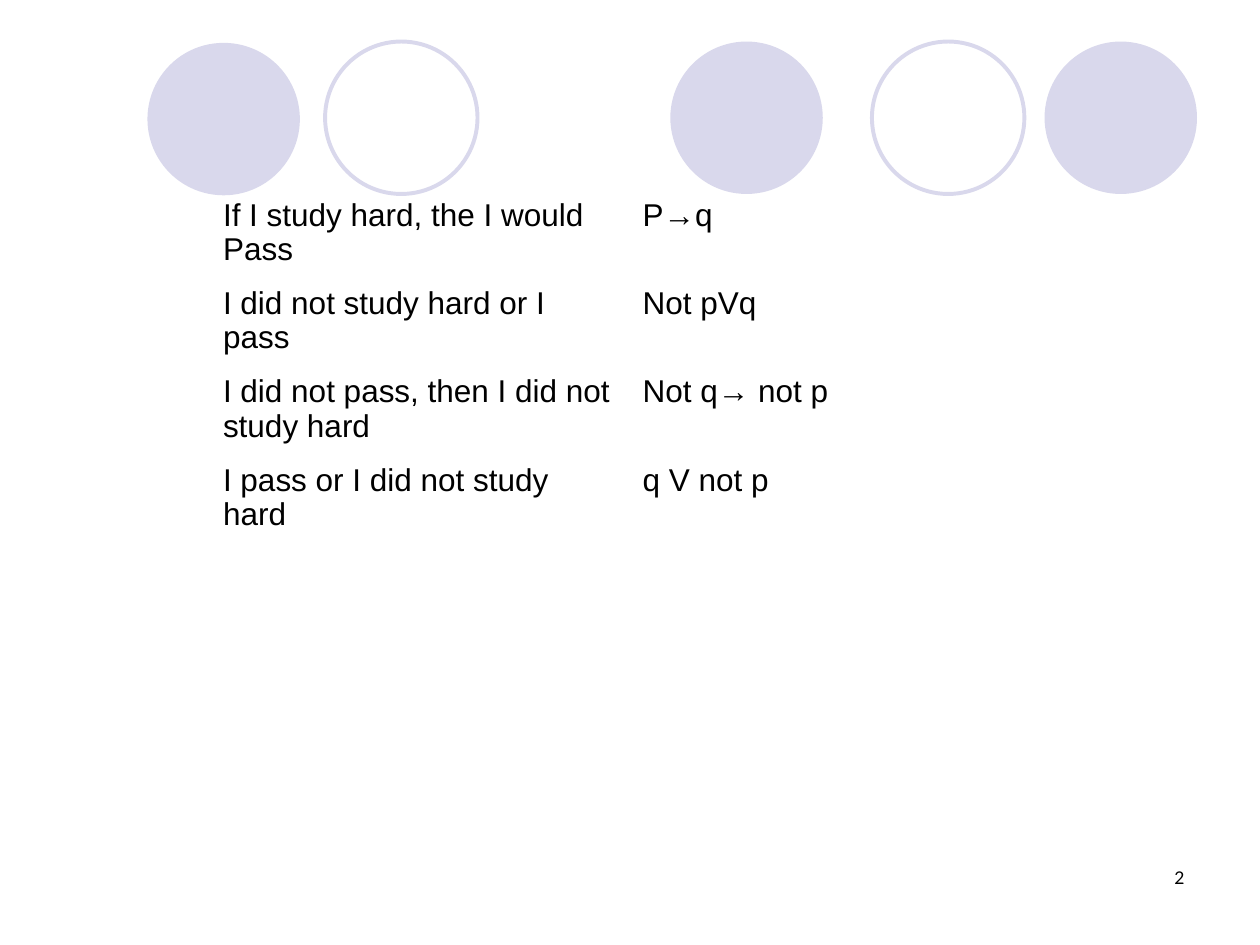
from pptx import Presentation
from pptx.dml.color import RGBColor
from pptx.enum.shapes import MSO_SHAPE
from pptx.enum.text import PP_ALIGN
from pptx.oxml.ns import qn
from pptx.util import Inches, Pt

OVAL = MSO_SHAPE.OVAL
RIGHT = PP_ALIGN.RIGHT
LAVENDER = RGBColor(0xD9, 0xD8, 0xEC)
BLACK = RGBColor(0, 0, 0)
NO_GRID_STYLE = "{2D5ABB26-0587-4C30-8999-92F81FD0307C}"

CIRCLE_SIZE = 1.21
CIRCLES = [
    (5.32, 0.33, True),
    (8.29, 0.33, True),
    (1.17, 0.34, True),
    (6.92, 0.33, False),
    (2.58, 0.33, False),
]
STATEMENTS = [
    ("If I study hard, the I would Pass", "P→q"),
    ("I did not study hard or I pass", "Not pVq"),
    ("I did not pass, then I did not study hard", "Not q→ not p"),
    ("I pass or I did not study hard", "q V not p"),
    ("", ""),
    ("", ""),
]
ROW_HEIGHTS = [0.7] * 4 + [0.4] * 2
COLUMN_WIDTH = 3.33


class SlideBuilder:
    body_font = {"name": "Arial", "size": Pt(18)}
    number_font = {"name": "Lato", "size": Pt(10)}

    def __init__(self, slide):
        self.slide = slide

    def add_text(self, paragraph, text, font_format, paragraph_format):
        run = paragraph.add_run()
        run.text = text
        for name, value in font_format.items():
            setattr(run.font, name, value)
        run.font.color.rgb = BLACK
        for name, value in paragraph_format.items():
            setattr(paragraph, name, value)

    def circle(self, left, top, filled):
        size = Inches(CIRCLE_SIZE)
        shape = self.slide.shapes.add_shape(OVAL, Inches(left), Inches(top), size, size)
        shape.shadow.inherit = False
        if filled:
            shape.fill.solid()
            shape.fill.fore_color.rgb = LAVENDER
            shape.line.fill.background()
        else:
            shape.fill.background()
            shape.line.color.rgb = LAVENDER
            shape.line.width = Pt(2.25)

    def page_number(self, text, left, top, width, height):
        box = self.slide.shapes.add_textbox(
            Inches(left), Inches(top), Inches(width), Inches(height)
        )
        box.text_frame.word_wrap = True
        self.add_text(box.text_frame.paragraphs[0], text, self.number_font, {"alignment": RIGHT})

    def table(self, rows, heights, left, top):
        columns = len(rows[0])
        frame = self.slide.shapes.add_table(
            len(rows), columns, Inches(left), Inches(top),
            Inches(COLUMN_WIDTH * columns), Inches(sum(heights)),
        )
        table = frame.table
        table.first_row = False
        table.horz_banding = False
        table._tbl.tblPr.find(qn("a:tableStyleId")).text = NO_GRID_STYLE
        for column in table.columns:
            column.width = Inches(COLUMN_WIDTH)
        for row, height, texts in zip(table.rows, heights, rows):
            row.height = Inches(height)
            for cell, text in zip(row.cells, texts):
                cell.fill.background()
                if text:
                    paragraph = cell.text_frame.paragraphs[0]
                    self.add_text(paragraph, text, self.body_font, {"line_spacing": 0.97})


def main():
    presentation = Presentation()
    presentation.slide_width = Inches(10)
    presentation.slide_height = Inches(7.5)
    slide = presentation.slides.add_slide(presentation.slide_layouts[6])
    builder = SlideBuilder(slide)
    for left, top, filled in CIRCLES:
        builder.circle(left, top, filled)
    builder.page_number("2", 7.17, 6.83, 2.33, 0.5)
    builder.table(STATEMENTS, ROW_HEIGHTS, 1.67, 1.53)
    presentation.save("out.pptx")


if __name__ == "__main__":
    main()
